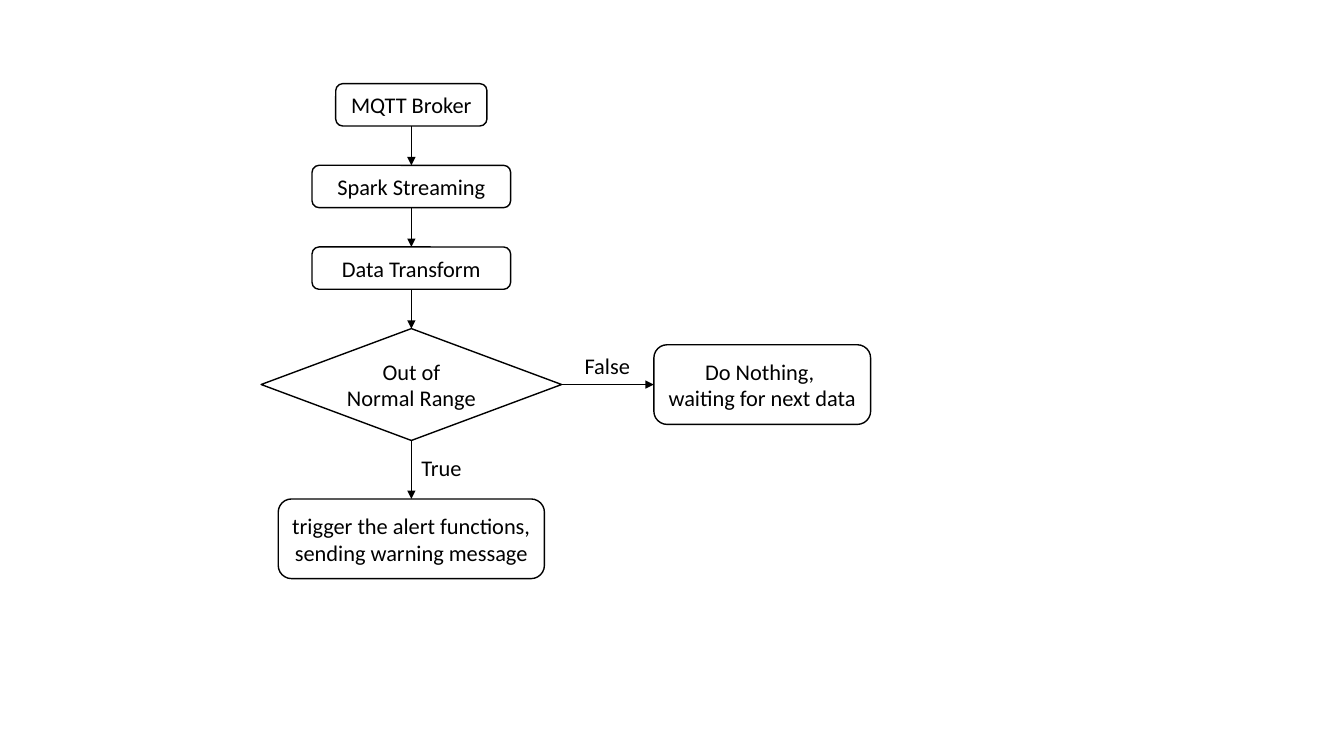
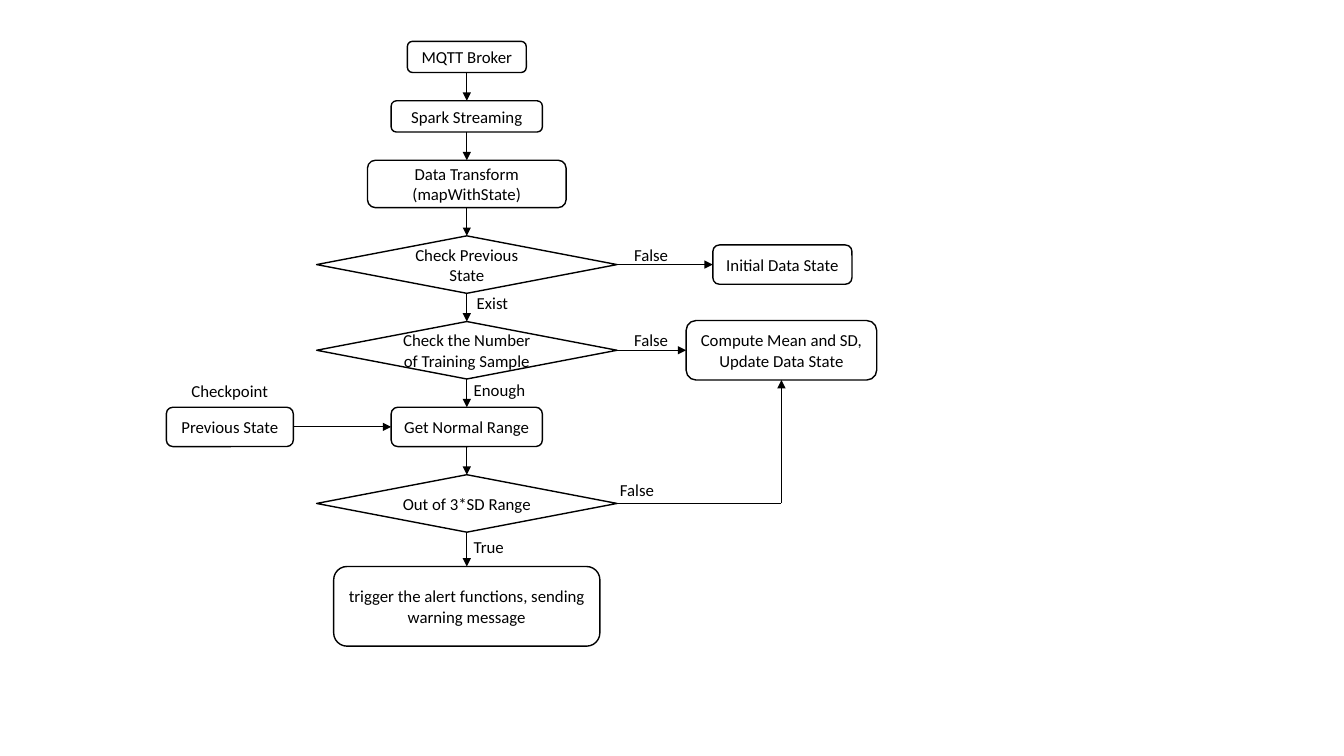
from lxml.etree import SubElement
from pptx import Presentation
from pptx.dml.color import RGBColor
from pptx.enum.shapes import MSO_CONNECTOR, MSO_SHAPE
from pptx.enum.text import MSO_ANCHOR, MSO_AUTO_SIZE, PP_ALIGN
from pptx.oxml.ns import qn
from pptx.util import Inches, Pt

COLORS = {"fill": "FFFFFF", "ink": "000000"}
FONT = "Calibri"
STEP = MSO_SHAPE.FLOWCHART_ALTERNATE_PROCESS
CHECK = MSO_SHAPE.FLOWCHART_DECISION
TOP, LEFT, BOTTOM, RIGHT = range(4)


def rgb(name):
    """Return a named colour of the palette."""
    return RGBColor.from_string(COLORS[name])


def write(tf, text, size=16, align=PP_ALIGN.LEFT, color="ink"):
    """Fill a text frame, one paragraph for each line of text."""
    for i, line in enumerate(text.split("\n")):
        p = tf.paragraphs[0] if i == 0 else tf.add_paragraph()
        p.alignment = align
        r = p.add_run()
        r.text = line
        r.font.name = FONT
        r.font.size = Pt(size)
        r.font.color.rgb = rgb(color)


def add_node(s, kind, text, cx, cy, w, h, size):
    """Add an outlined flowchart shape centred on a point."""
    sp = s.shapes.add_shape(kind, Inches(cx - w / 2), Inches(cy - h / 2),
                            Inches(w), Inches(h))
    sp.shadow.inherit = False
    sp.fill.solid()
    sp.fill.fore_color.rgb = rgb("fill")
    sp.line.color.rgb = rgb("ink")
    sp.line.width = Pt(1)
    tf = sp.text_frame
    tf.word_wrap = True
    tf.vertical_anchor = MSO_ANCHOR.MIDDLE
    write(tf, text, size=size, align=PP_ALIGN.CENTER)
    return sp


def add_label(s, text, x, y, w, h, size):
    """Add a one-line label beside an arrow or a node."""
    tf = s.shapes.add_textbox(Inches(x), Inches(y), Inches(w), Inches(h)).text_frame
    tf.word_wrap = False
    tf.auto_size = MSO_AUTO_SIZE.SHAPE_TO_FIT_TEXT
    write(tf, text, size=size)


def add_line(s, x1=0, y1=0, x2=0, y2=0, arrow=True):
    """Add a thin straight line, with an arrowhead at its end by default."""
    c = s.shapes.add_connector(MSO_CONNECTOR.STRAIGHT, x1, y1, x2, y2)
    c.line.color.rgb = rgb("ink")
    c.line.width = Pt(0.5)
    if arrow:
        SubElement(c.line._get_or_add_ln(), qn("a:tailEnd"), type="triangle")
    SubElement(c._element.spPr, qn("a:effectLst"))
    return c


def link(s, start, end, out=BOTTOM, into=TOP):
    """Glue an arrow from one node to another."""
    c = add_line(s)
    c.begin_connect(start, out)
    c.end_connect(end, into)


def link_corner(s, start, end):
    """Lead from the right of a node to the bottom of a higher one."""
    x, y = end.left + end.width // 2, start.top + start.height // 2
    add_line(s, start.left + start.width, y, x, y, arrow=False)
    add_line(s, x, y, x, end.top + end.height)


def add_column(s, rows, cx, top, gap, last_gap, size):
    """Stack nodes down an axis, link them and return them."""
    nodes = []
    for i, (kind, text, w, h) in enumerate(rows):
        if i:
            top += last_gap if i == len(rows) - 1 else gap
        nodes.append(add_node(s, kind, text, cx, top + h / 2, w, h, size))
        top += h
    for start, end in zip(nodes, nodes[1:]):
        link(s, start, end)
    return nodes


def add_side(s, text, beside, cx, w, h, size):
    """Add a step level with a node of the column."""
    cy = (beside.top + beside.height / 2) / Inches(1)
    return add_node(s, STEP, text, cx, cy, w, h, size)


def build_range_flow(s):
    """Draw the flow with a fixed normal range."""
    size = 16
    rows = [
        (STEP, "MQTT Broker", 1.5, 0.42),
        (STEP, "Spark Streaming", 1.97, 0.42),
        (STEP, "Data Transform", 1.97, 0.42),
        (CHECK, "Out of Normal Range", 2.98, 1.11),
        (STEP, "trigger the alert functions, sending warning message", 2.64, 0.79),
    ]
    check = add_column(s, rows, 4.08, 0.83, 0.39, 0.58, size)[3]
    wait = add_side(s, "Do Nothing, \nwaiting for next data", check, 7.56, 2.15, 0.79, size)
    link(s, check, wait, RIGHT, LEFT)
    for text, x, y, w in [("False", 5.7, 3.44, 0.66), ("True", 4.08, 4.46, 0.61)]:
        add_label(s, text, x, y, w, 0.37, size)


def build_state_flow(s):
    """Draw the flow with a range learned from the saved state."""
    size = 12
    rows = [
        (STEP, "MQTT Broker", 1.18, 0.31),
        (STEP, "Spark Streaming", 1.5, 0.31),
        (STEP, "Data Transform\n(mapWithState)", 1.97, 0.47),
        (CHECK, "Check Previous State", 2.98, 0.57),
        (CHECK, "Check the Number of Training Sample", 2.98, 0.57),
        (STEP, "Get Normal Range", 1.5, 0.39),
        (CHECK, "Out of 3*SD Range", 2.98, 0.57),
        (STEP, "trigger the alert functions, sending warning message", 2.64, 0.79),
    ]
    nodes = add_column(s, rows, 4.63, 0.41, 0.28, 0.34, size)
    has_state, has_samples, get_range, out_of_range = nodes[3:7]
    initial = add_side(s, "Initial Data State", has_state, 7.76, 1.38, 0.39, size)
    compute = add_side(s, "Compute Mean and SD, Update Data State", has_samples,
                       7.75, 1.89, 0.59, size)
    previous = add_side(s, "Previous State", get_range, 2.28, 1.26, 0.39, size)
    for start, end in [(has_state, initial), (has_samples, compute), (previous, get_range)]:
        link(s, start, end, RIGHT, LEFT)
    link_corner(s, out_of_range, compute)
    labels = [
        ("False", 6.19, 2.38, 0.54),
        ("Exist", 4.63, 2.86, 0.52),
        ("False", 6.19, 3.22, 0.54),
        ("Enough", 4.6, 3.72, 0.72),
        ("Checkpoint", 1.8, 3.73, 0.97),
        ("False", 6.05, 4.71, 0.54),
        ("True", 4.6, 5.28, 0.5),
    ]
    for text, x, y, w in labels:
        add_label(s, text, x, y, w, 0.3, size)


def main():
    """Build and save the presentation."""
    prs = Presentation()
    prs.slide_width, prs.slide_height = Inches(13.33), Inches(7.5)
    for build in (build_range_flow, build_state_flow):
        build(prs.slides.add_slide(prs.slide_layouts[6]))
    prs.save("out.pptx")


if __name__ == "__main__":
    main()
